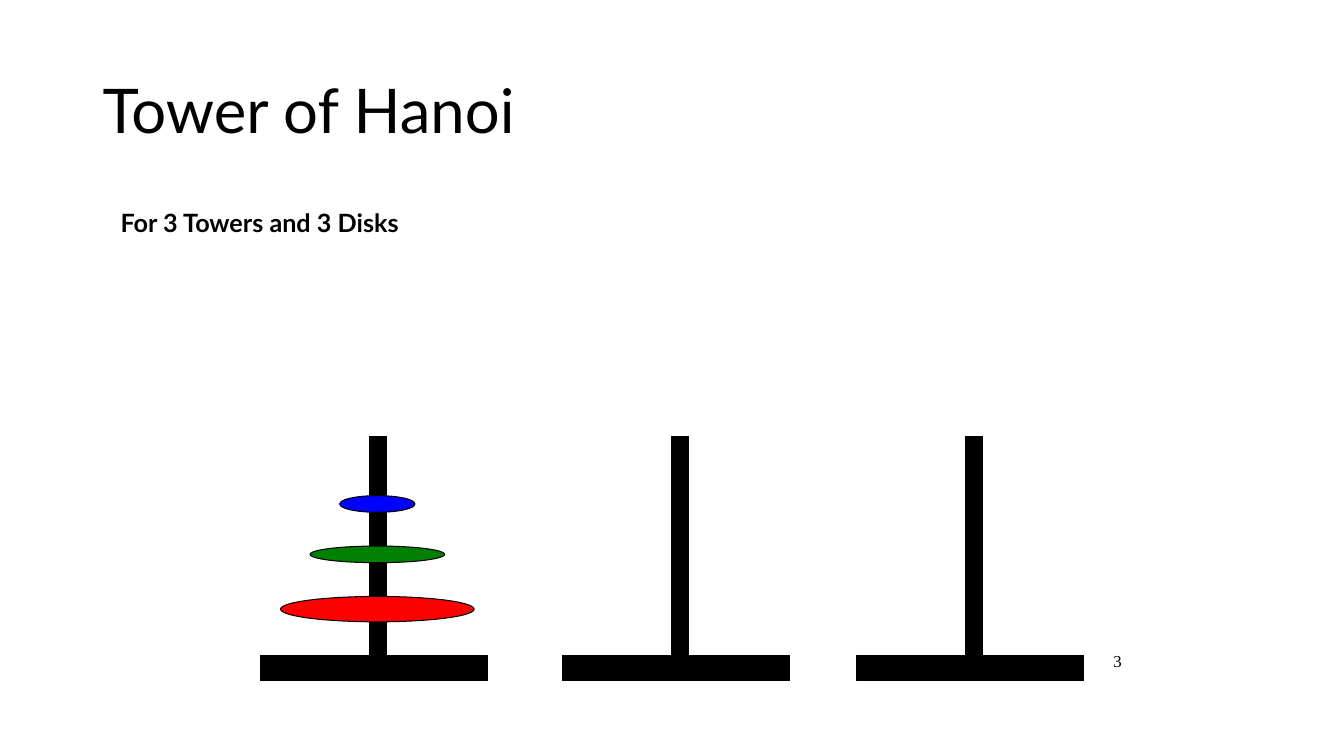
import pptx
import pptx.util
import pptx.dml.color
import pptx.enum.shapes
import pptx.enum.text
from dataclasses import dataclass

Cm, Pt = pptx.util.Cm, pptx.util.Pt
Kind = pptx.enum.shapes.MSO_SHAPE
Align = pptx.enum.text.PP_ALIGN
Anchor = pptx.enum.text.MSO_ANCHOR


@dataclass
class Theme:
    black: str = "000000"
    red: str = "FF0000"
    green: str = "008000"
    blue: str = "0000FF"
    sans: str = "Lato"
    serif: str = "Times New Roman"
    head: float = 44
    body: float = 18
    small: float = 12
    line: float = 0.75


class Deck:
    def __init__(self, theme):
        self.theme = theme
        self.prs = pptx.Presentation()
        self.prs.slide_width, self.prs.slide_height = Cm(33.87), Cm(19.05)
        self.slide = self.prs.slides.add_slide(self.prs.slide_layouts[5])

    def color(self, code):
        return pptx.dml.color.RGBColor.from_string(code)

    def label(self, shape, text, size, font, align, anchor, bold=False):
        frame = shape.text_frame
        frame.text = text
        frame.word_wrap = True
        frame.auto_size = pptx.enum.text.MSO_AUTO_SIZE.NONE
        frame.vertical_anchor = anchor
        para = frame.paragraphs[0]
        para.alignment = align
        face = para.runs[0].font
        face.name, face.size, face.bold = font, Pt(size), bold
        face.color.rgb = self.color(self.theme.black)
        return para

    def title(self, text, box):
        shape = self.slide.shapes.title
        shape.left, shape.top, shape.width, shape.height = map(Cm, box)
        para = self.label(shape, text, self.theme.head, self.theme.sans,
                          Align.LEFT, Anchor.MIDDLE)
        para.line_spacing = 0.9

    def text(self, text, box, size, font, align=Align.LEFT,
             anchor=Anchor.TOP, bold=False):
        shape = self.slide.shapes.add_textbox(*map(Cm, box))
        self.label(shape, text, size, font, align, anchor, bold)

    def shape(self, kind, box, fill, home=None):
        home = home or self.slide
        shape = home.shapes.add_shape(kind, *map(Cm, box))
        shape.shadow.inherit = False
        shape.fill.solid()
        shape.fill.fore_color.rgb = self.color(fill)
        shape.line.color.rgb = self.color(self.theme.black)
        shape.line.width = Pt(self.theme.line)

    def tower(self, left):
        group = self.slide.shapes.add_group_shape()
        for box in ((left, 16.51, 5.72, 0.64), (left + 2.75, 11, 0.43, 5.51)):
            self.shape(Kind.RECTANGLE, box, self.theme.black, group)

    def disk(self, mid, top, width, height, fill):
        self.shape(Kind.OVAL, (mid - width / 2, top, width, height), fill)


def main():
    theme = Theme()
    deck = Deck(theme)

    # Title and slide number
    deck.title("Tower of Hanoi", (2.33, 1.01, 29.21, 3.68))
    deck.text("3", (26.82, 15.93, 1.7, 1.45), theme.small, theme.serif,
              Align.RIGHT, Anchor.MIDDLE)

    # Towers: base and pole
    for left in (6.56, 14.18, 21.59):
        deck.tower(left)

    # Disks on the first pole, from the bottom up
    disks = ((4.88, 0.64, theme.red), (3.39, 0.42, theme.green),
             (1.9, 0.42, theme.blue))
    for level, (width, height, fill) in enumerate(disks):
        deck.disk(9.51, 15.03 - 1.27 * level, width, height, fill)

    # Caption
    deck.text("For 3 Towers and 3 Disks", (2.79, 5.11, 9.78, 1.02),
              theme.body, theme.sans, bold=True)

    deck.prs.save("out.pptx")


if __name__ == "__main__":
    main()
